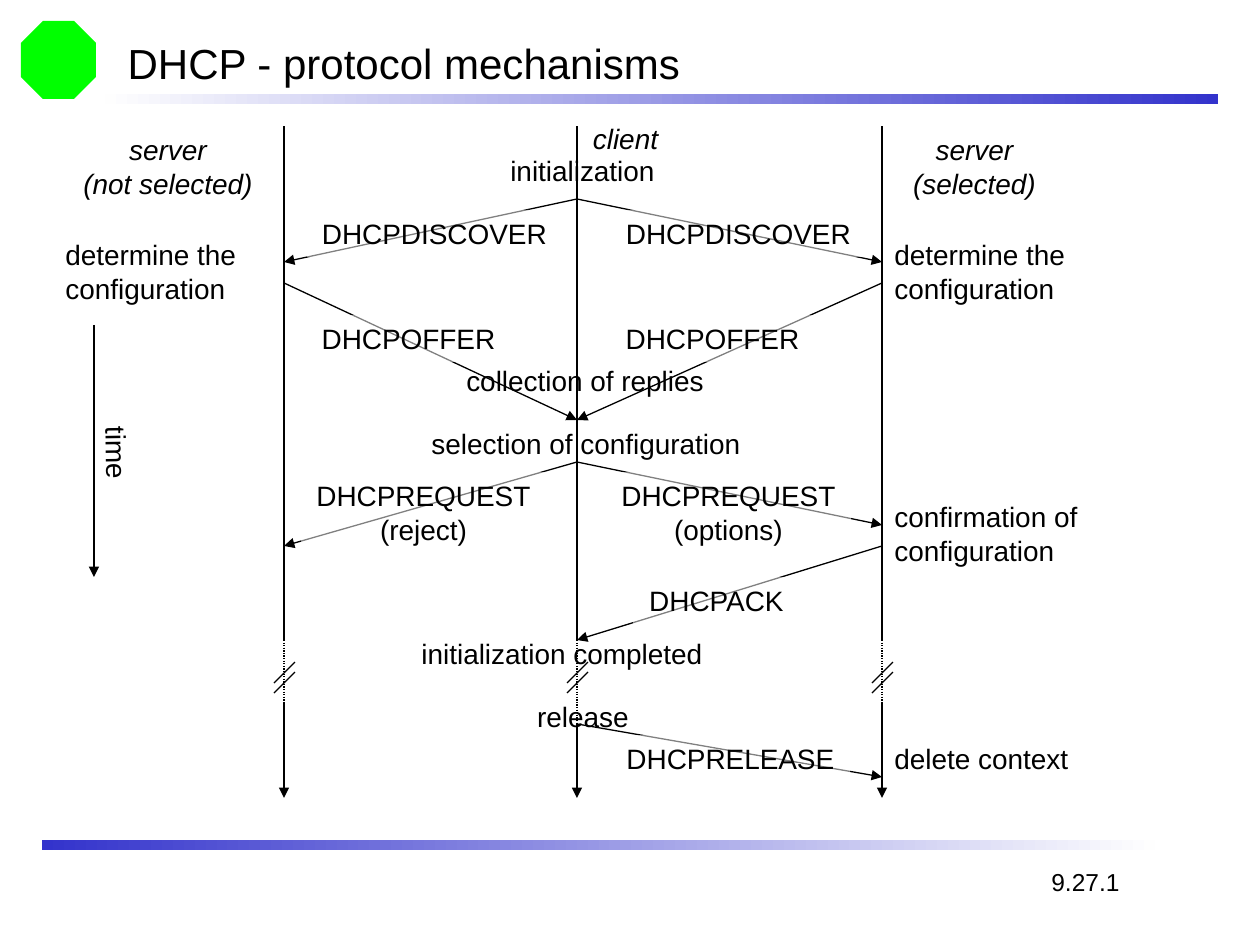
from pptx import Presentation
from pptx.dml.color import RGBColor
from pptx.enum.dml import MSO_LINE
from pptx.enum.shapes import MSO_CONNECTOR, MSO_SHAPE
from pptx.enum.text import MSO_ANCHOR, MSO_AUTO_SIZE, PP_ALIGN
from pptx.oxml.ns import qn
from pptx.util import Emu, Pt
from lxml.etree import SubElement

BLACK = RGBColor(0, 0, 0)
WHITE = RGBColor(255, 255, 255)
PALE = RGBColor(254, 254, 254)
BLUE = RGBColor(51, 51, 204)
GREEN = RGBColor(0, 255, 0)
FONT = "Arial"
LEFT, MID, RIGHT = 284, 577, 882
SLACK = 6

deck = Presentation()
deck.slide_width, deck.slide_height = Emu(9144000), Emu(6858000)
slide = deck.slides.add_slide(deck.slide_layouts[5])
shapes = slide.shapes


def px(*nums):
    return [Emu(round(n * 914400 / 126)) for n in nums]


def line(x1, y1, x2, y2, head=False, dash=False):
    link = shapes.add_connector(MSO_CONNECTOR.STRAIGHT, *px(x1, y1, x2, y2))
    link.line.color.rgb = BLACK
    link.line.width = Pt(0.75)
    if dash:
        link.line.dash_style = MSO_LINE.ROUND_DOT
    if head:
        SubElement(link.line._get_or_add_ln(), qn("a:tailEnd"), type="triangle")
    SubElement(link._element.spPr, qn("a:effectLst"))


mark = shapes.add_shape(MSO_SHAPE.OCTAGON, *px(21, 21, 75, 78))
mark.fill.solid()
mark.fill.fore_color.rgb = GREEN
mark.line.fill.background()
mark.shadow.inherit = False

for x, y, start, end in [(105, 94, PALE, BLUE), (42, 840, BLUE, PALE)]:
    bar = shapes.add_shape(MSO_SHAPE.RECTANGLE, *px(x, y, 1113, 10))
    bar.fill.gradient()
    bar.fill.gradient_angle = 0
    for stop, tone, spot in zip(bar.fill.gradient_stops, (start, end), (0, 1)):
        stop.color.rgb = tone
        stop.position = spot
    bar.line.fill.background()
    bar.shadow.inherit = False

title = shapes.title
title.left, title.top, title.width, title.height = px(115, 31, 1071, 63)
frame = title.text_frame
frame.auto_size = MSO_AUTO_SIZE.NONE
frame.vertical_anchor = MSO_ANCHOR.MIDDLE
para = frame.paragraphs[0]
para.alignment = PP_ALIGN.LEFT
run = para.add_run()
run.text = "DHCP - protocol mechanisms"
run.font.size, run.font.name = Pt(24), FONT
run.font.color.rgb = BLACK

line(94, 325, 94, 577, head=True)
for x, gap in [(LEFT, 703), (MID, 724), (RIGHT, 703)]:
    line(x, 126, x, 640)
    line(x, 640, x, gap, dash=True)
    line(x, gap, x, 798, head=True)

for x1, y1, x2, y2 in [
    (MID, 724, RIGHT, 777),
    (RIGHT, 546, MID, 640),
    (MID, 462, RIGHT, 525),
    (MID, 462, LEFT, 546),
    (LEFT, 283, MID, 420),
    (RIGHT, 283, MID, 420),
    (MID, 199, LEFT, 262),
    (MID, 199, RIGHT, 262),
]:
    line(x1, y1, x2, y2, head=True)

texts = [
    ("time", 78, 429, 78, "turn"),
    ("server\n(not selected)", 71, 126, 194, "role"),
    ("client", 581, 115, 89, "role"),
    ("server\n(selected)", 901, 126, 147, "role"),
    ("initialization", 498, 147, 169, "step"),
    ("collection of replies", 454, 357, 262, "step"),
    ("selection of configuration", 419, 420, 334, "step"),
    ("initialization completed", 409, 630, 306, "step"),
    ("release", 525, 693, 116, "step"),
    ("confirmation of\nconfiguration", 882, 493, 208, "note"),
    ("delete context", 882, 735, 199, "note"),
    ("determine the\nconfiguration", 882, 231, 195, "note"),
    ("determine the\nconfiguration", 53, 231, 195, "note"),
    ("DHCPDISCOVER", 310, 210, 249, "label"),
    ("DHCPOFFER", 309, 315, 199, "label"),
    ("DHCPREQUEST\n(reject)", 304, 472, 239, "label"),
    ("DHCPACK", 636, 577, 161, "label"),
    ("DHCPRELEASE", 614, 735, 233, "label"),
    ("DHCPDISCOVER", 614, 210, 249, "label"),
    ("DHCPOFFER", 613, 315, 199, "label"),
    ("DHCPREQUEST\n(options)", 609, 472, 239, "label"),
    ("9.27.1", 1039, 861, 93, "page"),
]
for words, x, y, wide, kind in texts:
    rows = words.split("\n")
    flush = kind in ("note", "page")
    shift = 0 if flush else SLACK // 2
    spot = px(x - shift, y, wide + SLACK, 13 + 34 * len(rows))
    if kind == "label":
        box = shapes.add_shape(MSO_SHAPE.RECTANGLE, *spot)
        box.fill.solid()
        box.fill.fore_color.rgb = WHITE
        tint = box._element.spPr.find(".//" + qn("a:srgbClr"))
        SubElement(tint, qn("a:alpha"), val="50000")
        box.line.fill.background()
        box.shadow.inherit = False
    else:
        box = shapes.add_textbox(*spot)
    if kind == "turn":
        box.rotation = 89.1
    frame = box.text_frame
    frame.word_wrap = False
    frame.auto_size = MSO_AUTO_SIZE.SHAPE_TO_FIT_TEXT
    frame.vertical_anchor = MSO_ANCHOR.TOP if kind == "page" else MSO_ANCHOR.MIDDLE
    para = frame.paragraphs[0]
    for i, row in enumerate(rows):
        if i and kind == "label":
            para.add_line_break()
        elif i:
            para = frame.add_paragraph()
        para.alignment = PP_ALIGN.LEFT if flush else PP_ALIGN.CENTER
        run = para.add_run()
        run.text = row
        run.font.size = Pt(14 if kind == "page" else 16)
        run.font.name = FONT
        run.font.italic = kind == "role"
        run.font.color.rgb = BLACK

for x in (LEFT, MID, RIGHT):
    for y in (683, 693):
        line(x - 10, y, x + 11, y - 21)

deck.save("out.pptx")
